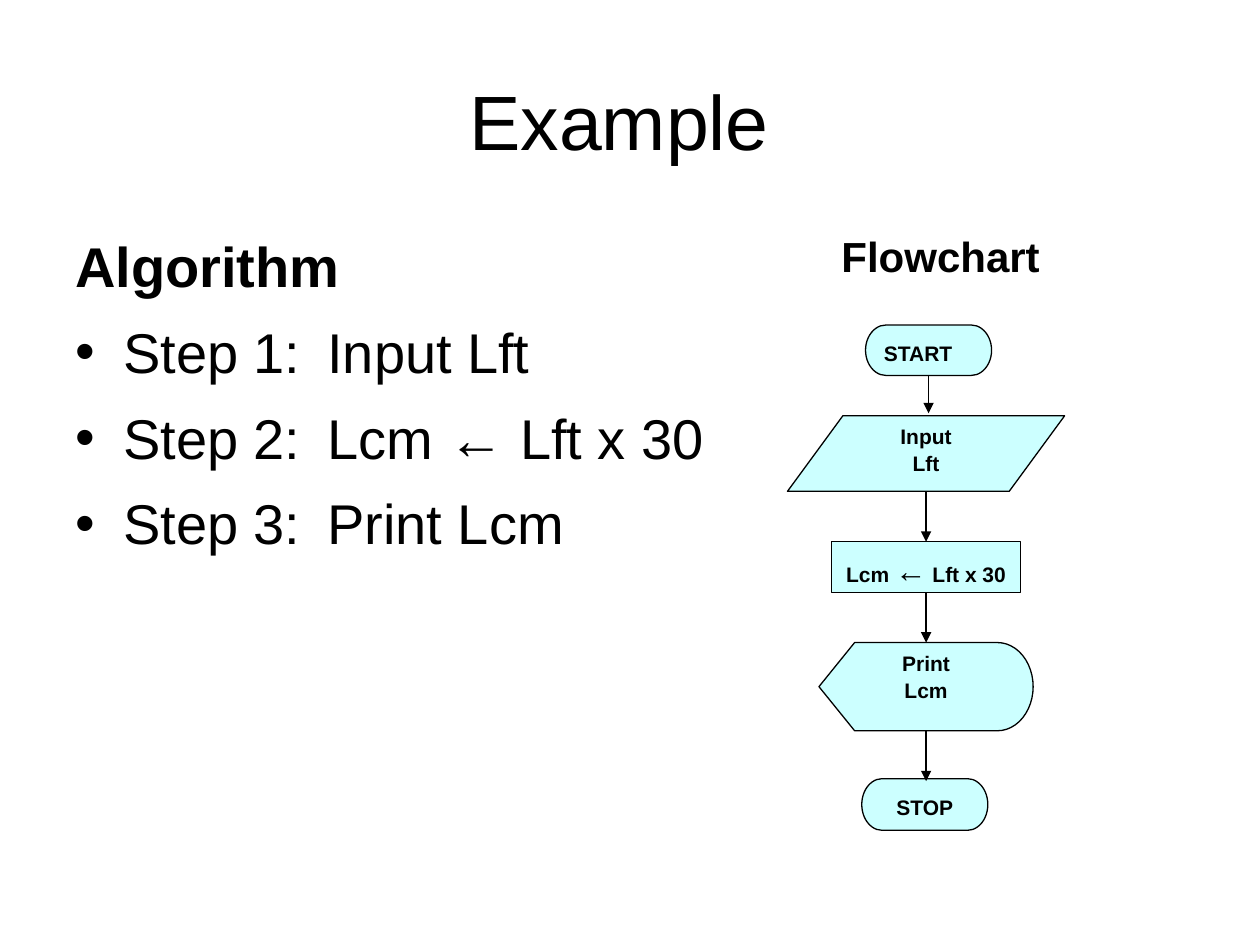
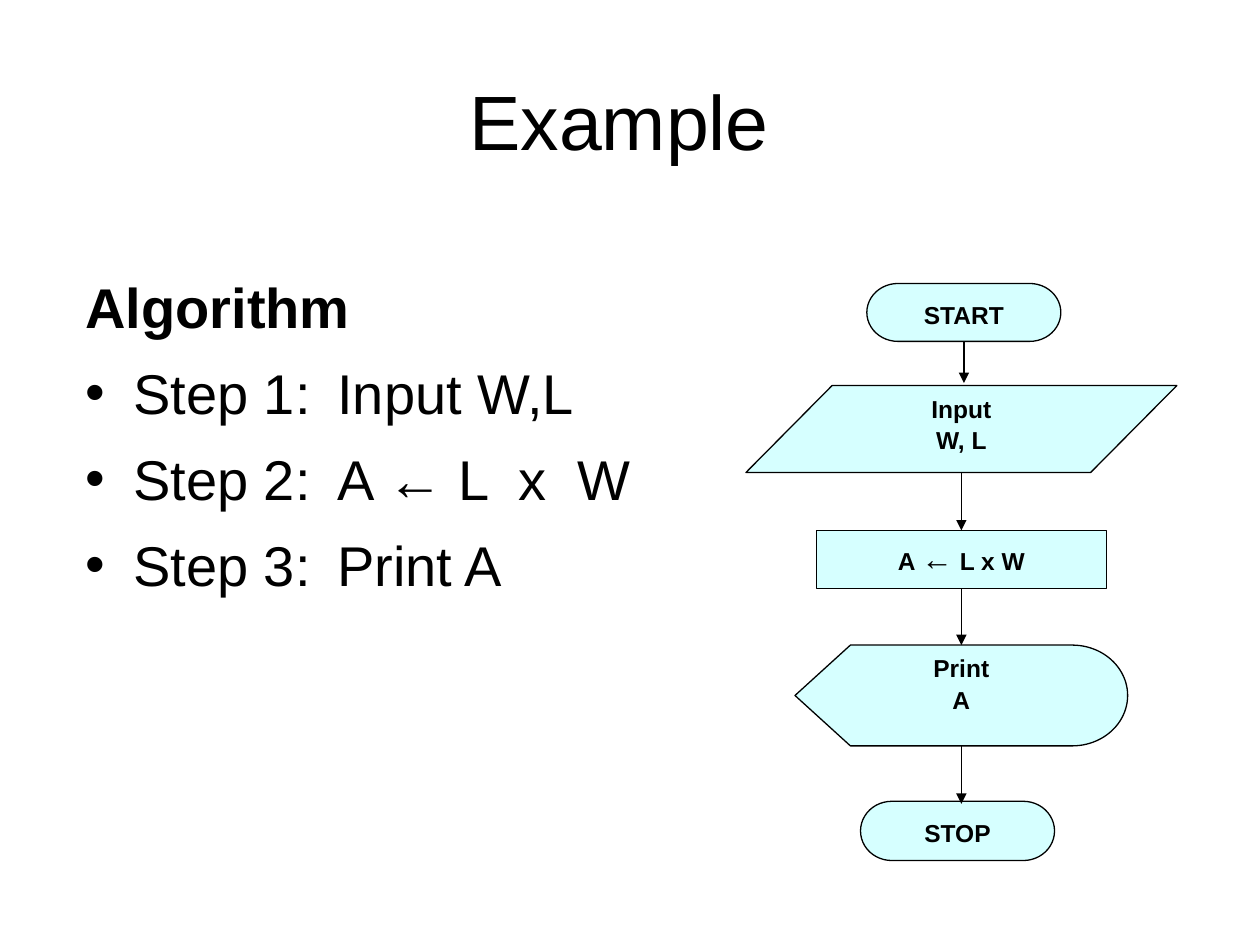
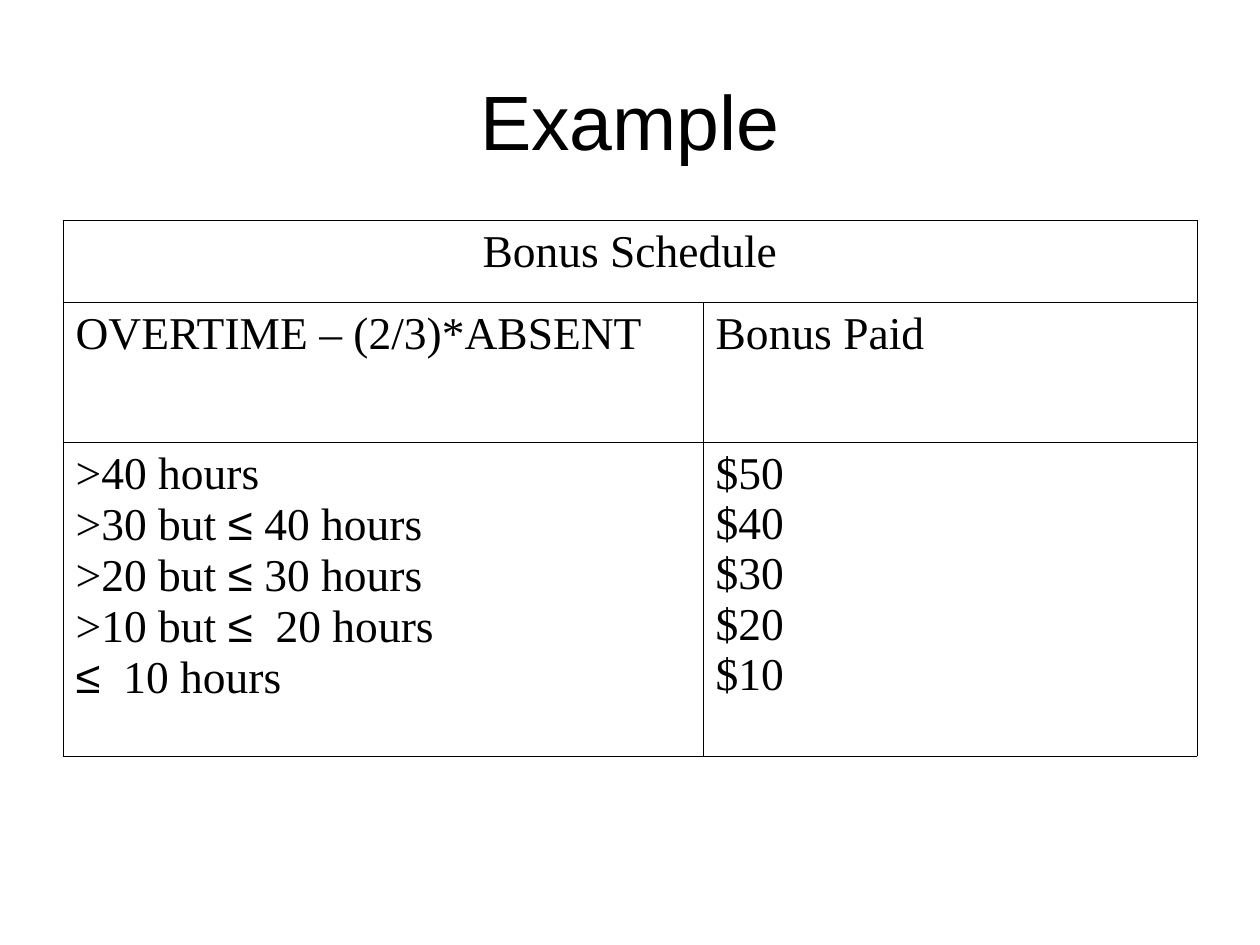
import pptx
import pptx.dml.color
import pptx.enum.shapes
import pptx.enum.text
import pptx.oxml.ns
import pptx.util
from lxml import etree

PX = 9144  # EMU in one px, 100 px to the inch
BLACK = pptx.dml.color.RGBColor(0x00, 0x00, 0x00)
WHITE = pptx.dml.color.RGBColor(0xFF, 0xFF, 0xFF)
PALE_CYAN = pptx.dml.color.RGBColor(0xCC, 0xFF, 0xFF)
SANS = "Arial"
SERIF = "Times New Roman"
LINE_SPACING = 1.07
STEP_TAB = 200

SHAPES = pptx.enum.shapes.MSO_SHAPE
TERMINATOR = SHAPES.FLOWCHART_TERMINATOR
DATA = SHAPES.FLOWCHART_DATA
PROCESS = SHAPES.FLOWCHART_PROCESS
DISPLAY = SHAPES.FLOWCHART_DISPLAY
LEFT = pptx.enum.text.PP_ALIGN.LEFT
CENTER = pptx.enum.text.PP_ALIGN.CENTER
BOTTOM_SITE, TOP_SITE = 2, 0
# How far each arrow ends past the top of the next node
ARROW_OVERSHOOT = [-2, 0, 0, 2]


def px(*lengths):
    return [round(n * PX) for n in lengths]


def sub(parent, tag, **attrs):
    return etree.SubElement(parent, pptx.oxml.ns.qn(tag), attrs)


# Text

def set_font(font, name, size, bold=False):
    font.name = name
    font.size = pptx.util.Pt(size)
    font.bold = bold
    font.color.rgb = BLACK


def write_line(p, text, font, symbol=None, symbol_font=None, align=LEFT):
    """Write one paragraph; a symbol in it takes its own font."""
    p.alignment = align
    parts = text.partition(symbol) if symbol else [text]
    for part in filter(None, parts):
        r = p.add_run()
        r.text = part
        if part == symbol:
            set_font(r.font, *symbol_font)
    set_font(p.font, *font)


def paragraphs(tf, lines):
    """Yield a paragraph of the frame with each line."""
    for i, line in enumerate(lines):
        yield (tf.add_paragraph() if i else tf.paragraphs[0]), line


def add_text_box(slide, box):
    tf = slide.shapes.add_textbox(*px(*box)).text_frame
    tf.word_wrap = True
    return tf


def add_title_slide(prs, title):
    slide = prs.slides.add_slide(prs.slide_layouts[5])
    sp = slide.shapes.title
    sp.left, sp.top, sp.width, sp.height = px(50, 30, 900, 125)
    tf = sp.text_frame
    tf.vertical_anchor = pptx.enum.text.MSO_ANCHOR.MIDDLE
    p = tf.paragraphs[0]
    p.line_spacing = LINE_SPACING
    write_line(p, title, (SANS, 44), align=CENTER)
    return slide


def add_algorithm(slide, box, steps):
    tf = add_text_box(slide, box)
    for p, line in paragraphs(tf, ["Algorithm"] + steps):
        is_step = line != "Algorithm"
        p.line_spacing = LINE_SPACING
        if is_step:
            p.space_before = pptx.util.Pt(8)
            pPr = p._p.get_or_add_pPr()
            indent = 38 * PX
            pPr.set("marL", str(indent))
            pPr.set("indent", str(-indent))
            sub(pPr, "a:buFont", typeface=SANS)
            sub(pPr, "a:buChar", char="•")
            tabs = sub(pPr, "a:tabLst")
            sub(tabs, "a:tab", pos=str(STEP_TAB * PX), algn="l")
        write_line(p, line, (SANS, 32, not is_step))


# Flowchart

def add_node(slide, kind, box, lines, size, alpha, align=CENTER):
    sp = slide.shapes.add_shape(kind, *px(*box))
    sp.shadow.inherit = False
    sp.fill.solid()
    sp.fill.fore_color.rgb = PALE_CYAN
    if alpha < 100:
        color = sp._element.spPr.find(".//" + pptx.oxml.ns.qn("a:srgbClr"))
        sub(color, "a:alpha", val=str(alpha * 1000))
    sp.line.color.rgb = BLACK
    sp.line.width = pptx.util.Pt(0.75)
    tf = sp.text_frame
    tf.word_wrap = True
    tf.vertical_anchor = pptx.enum.text.MSO_ANCHOR.TOP
    for p, line in paragraphs(tf, lines):
        p.line_spacing = LINE_SPACING
        write_line(p, line, (SANS, size, True), "←", (SANS, 18), align)
    return sp


def add_arrow(slide, upper, lower, overshoot):
    x = upper.left + upper.width // 2
    straight = pptx.enum.shapes.MSO_CONNECTOR.STRAIGHT
    line = slide.shapes.add_connector(straight, x, upper.top + upper.height,
                                      x, lower.top + overshoot * PX)
    if upper.auto_shape_type != DATA:
        line.begin_connect(upper, BOTTOM_SITE)
    if overshoot == 0:
        line.end_connect(lower, TOP_SITE)
    line.line.color.rgb = BLACK
    line.line.width = pptx.util.Pt(0.75)
    sub(line.line._get_or_add_ln(), "a:tailEnd", type="triangle")
    sub(line._element.spPr, "a:effectLst")


def add_flowchart(slide, nodes, size, alpha=100):
    shapes = [add_node(slide, kind, box, lines, size, alpha, *align)
              for kind, box, lines, *align in nodes]
    for upper, lower, overshoot in zip(shapes, shapes[1:], ARROW_OVERSHOOT):
        add_arrow(slide, upper, lower, overshoot)


# Table

def style_cell(cell, lines, align):
    tcPr = cell._tc.get_or_add_tcPr()
    for side in ("a:lnL", "a:lnR", "a:lnT", "a:lnB"):
        ln = sub(tcPr, side, w=str(pptx.util.Pt(0.45)))
        sub(sub(ln, "a:solidFill"), "a:srgbClr", val=str(BLACK))
    cell.fill.solid()
    cell.fill.fore_color.rgb = WHITE
    for p, line in paragraphs(cell.text_frame, lines):
        write_line(p, line, (SERIF, 26), "≤", (SANS, 26), align)


def add_bonus_table(slide, box, col_widths, row_heights, rows):
    frame = slide.shapes.add_table(len(rows), len(col_widths), *px(*box))
    table = frame.table
    table.first_row = table.horz_banding = False
    for col, width in zip(table.columns, px(*col_widths)):
        col.width = width
    for row, height in zip(table.rows, px(*row_heights)):
        row.height = height
    table.cell(0, 0).merge(table.cell(0, 1))
    for i, row in enumerate(rows):
        for j, lines in enumerate(row):
            style_cell(table.cell(i, j), lines, LEFT if i else CENTER)


def main():
    prs = pptx.Presentation()
    prs.slide_width, prs.slide_height = px(1000, 750)

    # Feet to centimetres
    slide = add_title_slide(prs, "Example ")
    add_algorithm(slide, (50, 175, 900, 495), [
        "Step 1:\tInput Lft", "Step 2:\tLcm ← Lft x 30", "Step 3:\tPrint Lcm"])
    add_flowchart(slide, [
        (TERMINATOR, (687, 258, 100, 40), ["START"], LEFT),
        (DATA, (625, 330, 220, 60), ["Input", "Lft"]),
        (PROCESS, (660, 430, 150, 40), ["Lcm ← Lft x 30"]),
        (DISPLAY, (650, 510, 170, 70), ["Print", "Lcm"]),
        (TERMINATOR, (684, 618, 100, 41), ["STOP"]),
    ], size=12)
    p = add_text_box(slide, (658, 175, 242, 50)).paragraphs[0]
    p.line_spacing = LINE_SPACING
    write_line(p, "Flowchart", (SANS, 24, True))

    # Area of a rectangle
    slide = add_title_slide(prs, "Example ")
    add_algorithm(slide, (58, 208, 900, 425), [
        "Step 1:\tInput W,L", "Step 2:\tA ← L  x  W", "Step 3:\tPrint A"])
    add_flowchart(slide, [
        (TERMINATOR, (688, 225, 154, 46), ["START"]),
        (DATA, (592, 306, 342, 69), ["Input", "W, L"]),
        (PROCESS, (648, 421, 230, 46), ["A ← L x W"]),
        (DISPLAY, (631, 512, 264, 80), ["Print", "A"]),
        (TERMINATOR, (683, 636, 154, 47), ["STOP"]),
    ], size=14, alpha=80)

    # Bonus schedule
    slide = add_title_slide(prs, "Example")
    add_bonus_table(slide, (50, 175, 900, 425), [508, 392], [65, 111, 249], [
        [["Bonus Schedule"], []],
        [["OVERTIME – (2/3)*ABSENT"], ["Bonus Paid"]],
        [[">40 hours", ">30 but ≤ 40 hours", ">20 but ≤ 30 hours",
          ">10 but ≤  20 hours", "≤  10 hours"],
         ["$50", "$40", "$30", "$20", "$10"]],
    ])

    prs.save("out.pptx")


if __name__ == "__main__":
    main()
